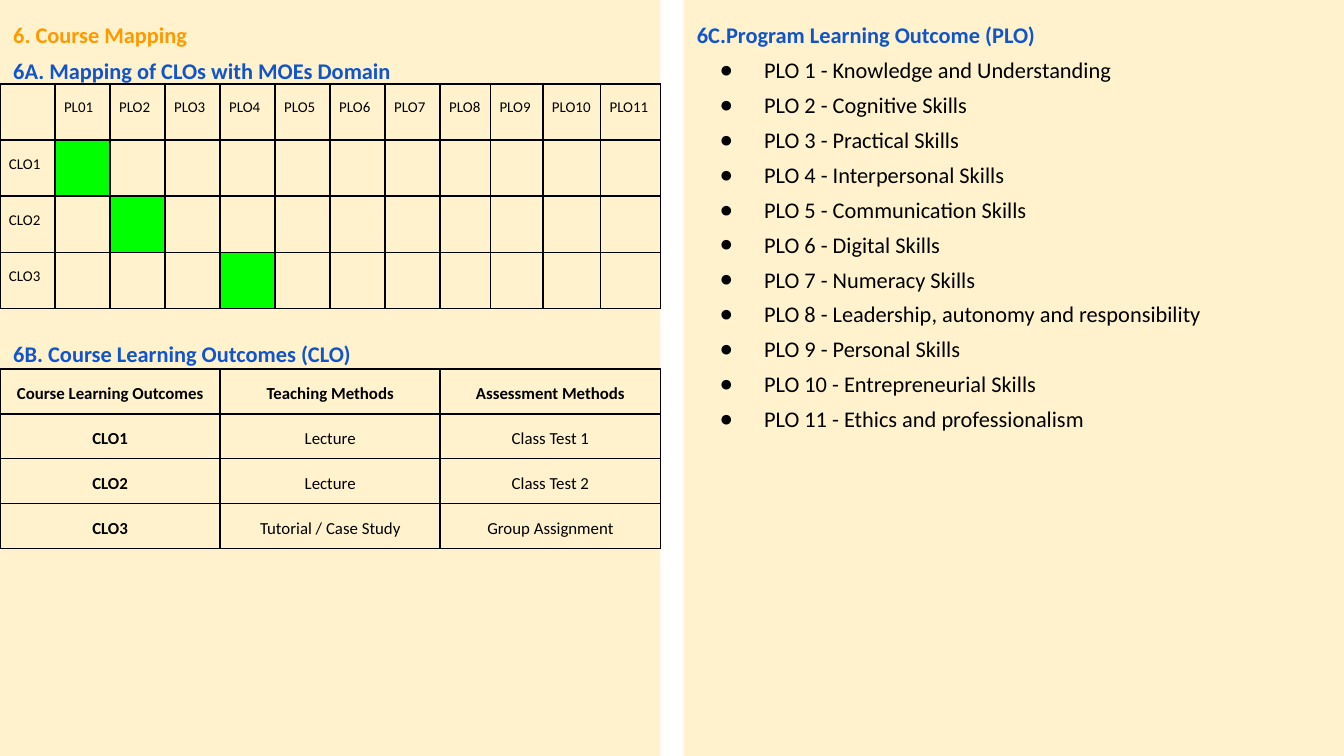
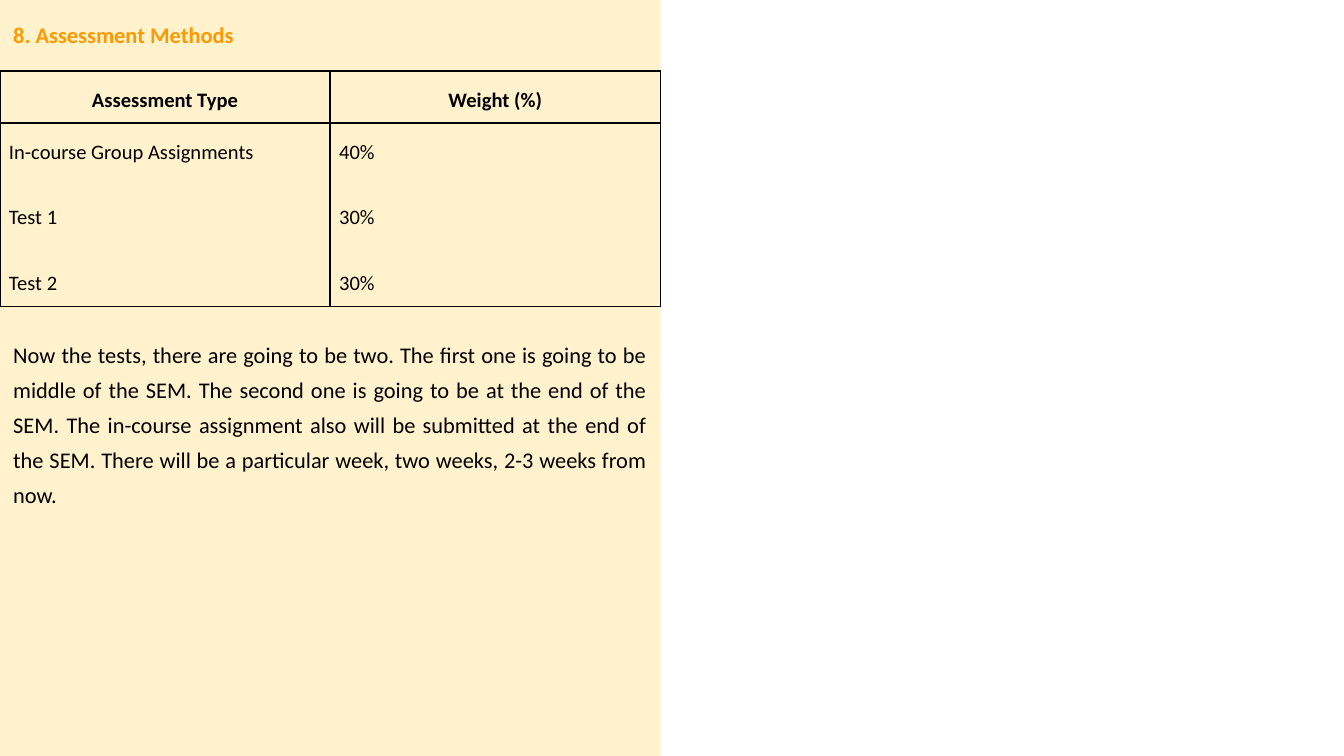
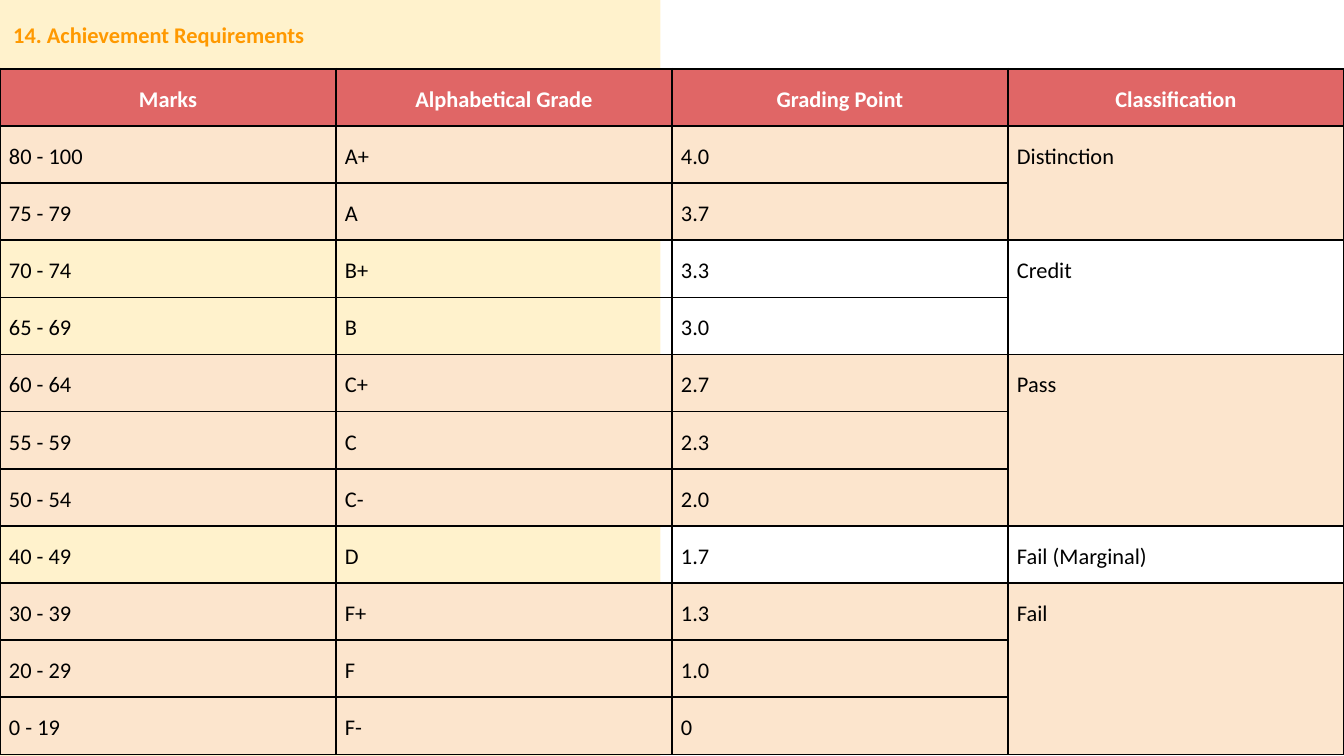
import dataclasses

import lxml.etree
import pptx
import pptx.dml.color
import pptx.enum.text
import pptx.oxml.ns
import pptx.util

Cm = pptx.util.Cm
Pt = pptx.util.Pt
ALIGN = pptx.enum.text.PP_ALIGN
qn = pptx.oxml.ns.qn


@dataclasses.dataclass(frozen=True)
class Theme:
    font: str = "Calibri"
    panel: str = "FFF2CC"
    section: str = "FF9900"
    heading: str = "1155CC"
    ink: str = "000000"
    mapped: str = "00FF00"
    header: str = "E06666"
    header_ink: str = "FFFFFF"
    band: str = "FCE5CD"
    text_size: float = 12
    weight_size: float = 11
    outcome_size: float = 9
    mapping_size: float = 8
    line_spacing: float = 1.3
    border: float = 1


SLIDE_W, SLIDE_H = 25.4, 14.29
PANEL_W = 12.48
LINE_PT = 19.04
LINE = LINE_PT / 72 * 2.54
TWO_CONTENT, TITLE_CONTENT, TITLE_ONLY = 3, 1, 5


def set_all(obj, values):
    for name, value in values.items():
        setattr(obj, name, value)


class Deck:
    def __init__(self, theme):
        self.theme = theme
        self.prs = pptx.Presentation()
        set_all(self.prs, {"slide_width": Cm(SLIDE_W), "slide_height": Cm(SLIDE_H)})
        self.s = None

    def add_slide(self, layout, title):
        self.s = self.prs.slides.add_slide(self.prs.slide_layouts[layout])
        tf = self.frame(self.s.shapes.title, 0, 0, self.theme.panel)
        self.add_text(tf.paragraphs[0], title, color=self.theme.section, bold=True,
                      align=ALIGN.JUSTIFY)

    def frame(self, sp, left, top, fill=None):
        set_all(sp, {"left": Cm(left), "top": Cm(top),
                     "width": Cm(PANEL_W), "height": Cm(SLIDE_H - top)})
        if fill:
            self.paint(sp.fill, fill)
        tf = sp.text_frame
        set_all(tf, {"word_wrap": True,
                     "auto_size": pptx.enum.text.MSO_AUTO_SIZE.NONE,
                     "vertical_anchor": pptx.enum.text.MSO_ANCHOR.TOP})
        set_all(tf, dict.fromkeys(
            ("margin_left", "margin_right", "margin_top", "margin_bottom"), Cm(0.25)))
        return tf

    def paint(self, fill, color):
        fill.solid()
        fill.fore_color.rgb = pptx.dml.color.RGBColor.from_string(color)

    def add_text(self, p, text, size=None, color=None, bold=False, align=ALIGN.LEFT, before=0):
        set_all(p, {"alignment": align, "line_spacing": self.theme.line_spacing,
                    "space_before": Pt(before), "space_after": Pt(0)})
        size = Pt(size or self.theme.text_size)
        if not text:
            p._p.get_or_add_endParaRPr().set("sz", str(int(size.pt * 100)))
            return
        r = p.add_run()
        r.text = text
        set_all(r.font, {"name": self.theme.font, "size": size, "bold": bold})
        r.font.color.rgb = pptx.dml.color.RGBColor.from_string(color or self.theme.ink)

    def bullet(self, p, char):
        pPr = p._p.get_or_add_pPr()
        indent = {"marL": Cm(1.27), "indent": Cm(-0.84)} if char else {"marL": 0, "indent": 0}
        for name, value in indent.items():
            pPr.set(name, str(int(value)))
        if char:
            clr = lxml.etree.SubElement(pPr, qn("a:buClr"))
            lxml.etree.SubElement(clr, qn("a:srgbClr")).set("val", self.theme.ink)
            lxml.etree.SubElement(pPr, qn("a:buChar")).set("char", char)
        else:
            lxml.etree.SubElement(pPr, qn("a:buNone"))

    def body(self, idx, left, top, items, fill=None):
        tf = self.frame(self.s.placeholders[idx], left, top, fill)
        for i, (text, char, style) in enumerate(items):
            p = tf.add_paragraph() if i else tf.paragraphs[0]
            self.add_text(p, text, align=ALIGN.JUSTIFY, **style)
            self.bullet(p, char)

    def table(self, top, widths, heights, rows, style, fills=None):
        gf = self.s.shapes.add_table(len(rows), len(widths), Cm(0), Cm(top),
                                     Cm(sum(widths)), Cm(sum(heights)))
        tbl = gf.table
        set_all(tbl, {"first_row": False, "horz_banding": False})
        for col, width in zip(tbl.columns, widths):
            col.width = Cm(width)
        for row, height in zip(tbl.rows, heights):
            row.height = Cm(height)
        for i, row in enumerate(rows):
            for j, text in enumerate(row):
                self.cell(tbl.cell(i, j), text, style(i, j), (fills or {}).get((i, j)))
        return tbl

    def cell(self, cell, text, style, fill):
        set_all(cell, dict.fromkeys(
            ("margin_left", "margin_right", "margin_top", "margin_bottom"), Cm(0.17)))
        tcPr = cell._tc.get_or_add_tcPr()
        for side in ("a:lnL", "a:lnR", "a:lnT", "a:lnB"):
            ln = lxml.etree.SubElement(tcPr, qn(side))
            ln.set("w", str(int(Pt(self.theme.border))))
            solid = lxml.etree.SubElement(ln, qn("a:solidFill"))
            lxml.etree.SubElement(solid, qn("a:srgbClr")).set("val", self.theme.ink)
        if fill:
            self.paint(cell.fill, fill)
        else:
            cell.fill.background()
        tf = cell.text_frame
        for i, line in enumerate(text.split("\n")):
            p = tf.add_paragraph() if i else tf.paragraphs[0]
            gap = style["size"] * LINE_PT / self.theme.text_size if i else 0
            self.add_text(p, line, before=gap, **style)


def course_mapping(deck):
    t = deck.theme
    heading = {"color": t.heading, "bold": True}
    skills = ["Knowledge and Understanding", "Cognitive Skills", "Practical Skills",
              "Interpersonal Skills", "Communication Skills", "Digital Skills",
              "Numeracy Skills", "Leadership, autonomy and responsibility",
              "Personal Skills", "Entrepreneurial Skills", "Ethics and professionalism"]
    deck.add_slide(TWO_CONTENT, "6. Course Mapping")
    deck.body(1, 0, LINE, [
        ("6A. Mapping of CLOs with MOEs Domain", None, heading),
        ("6B. Course Learning Outcomes (CLO)", None, {**heading, "before": 7 * LINE_PT})])
    deck.body(2, SLIDE_W - PANEL_W, 0,
              [("6C.Program Learning Outcome (PLO)", None, heading)]
              + [(f"PLO {n} - {skill}", "●", {}) for n, skill in enumerate(skills, 1)], t.panel)

    mapping = [["", "PL01"] + [f"PLO{n}" for n in range(2, 12)]]
    mapping += [[f"CLO{n}"] + [""] * 11 for n in range(1, 4)]
    deck.table(1.59, [1.04] * 8 + [0.95, 0.99, 1.09, 1.13], [1.06] * 4, mapping,
               lambda i, j: {"size": t.mapping_size},
               dict.fromkeys([(1, 1), (2, 2), (3, 4)], t.mapped))

    outcomes = [["Course Learning Outcomes", "Teaching Methods", "Assessment Methods"],
                ["CLO1", "Lecture", "Class Test 1"],
                ["CLO2", "Lecture", "Class Test 2"],
                ["CLO3", "Tutorial / Case Study", "Group Assignment"]]
    deck.table(6.97, [PANEL_W / 3] * 3, [0.85] * 4, outcomes,
               lambda i, j: {"size": t.outcome_size, "bold": i == 0 or j == 0,
                             "align": ALIGN.CENTER})


def assessment_methods(deck):
    t = deck.theme
    deck.add_slide(TITLE_CONTENT, "8. Assessment Methods")
    deck.body(1, 0, 9 * LINE, [(
        "Now the tests, there are going to be two. The first one is going to be middle "
        "of the SEM. The second one is going to be at the end of the SEM. The in-course "
        "assignment also will be submitted at the end of the SEM. There will be a "
        "particular week, two weeks, 2-3 weeks from now.", None, {})])
    weights = [["Assessment Type", "Weight (%)"],
               ["In-course Group Assignments\nTest 1\nTest 2", "40%\n30%\n30%"]]
    deck.table(1.34, [PANEL_W / 2] * 2, [0.98, 3.47], weights,
               lambda i, j: {"size": t.weight_size, "bold": i == 0,
                             "align": ALIGN.LEFT if i else ALIGN.CENTER})


def achievement_requirements(deck):
    t = deck.theme
    groups = [("Distinction", [("80 - 100", "A+", "4.0"), ("75 - 79", "A", "3.7")]),
              ("Credit", [("70 - 74", "B+", "3.3"), ("65 - 69", "B", "3.0")]),
              ("Pass", [("60 - 64", "C+", "2.7"), ("55 - 59", "C", "2.3"),
                        ("50 - 54", "C-", "2.0")]),
              ("Fail (Marginal)", [("40 - 49", "D", "1.7")]),
              ("Fail", [("30 - 39", "F+", "1.3"), ("20 - 29", "F", "1.0"),
                        ("0 - 19", "F-", "0")])]
    rows = [["Marks", "Alphabetical Grade", "Grading Point", "Classification"]]
    fills = {(0, j): t.header for j in range(4)}
    spans = []
    for g, (name, grades) in enumerate(groups):
        first = len(rows)
        for k, grade in enumerate(grades):
            if g % 2 == 0:
                fills.update({(len(rows), j): t.band for j in range(4)})
            rows.append([*grade, "" if k else name])
        if len(grades) > 1:
            spans.append((first, len(rows) - 1))

    deck.add_slide(TITLE_ONLY, "14. Achievement Requirements")
    tbl = deck.table(1.3, [SLIDE_W / 4] * 4, [1.08] * len(rows), rows,
                     lambda i, j: {"size": t.text_size, "bold": i == 0,
                                   "color": t.ink if i else t.header_ink,
                                   "align": ALIGN.LEFT if i else ALIGN.CENTER}, fills)
    for first, last in spans:
        tbl.cell(first, 3).merge(tbl.cell(last, 3))


def main():
    deck = Deck(Theme())
    course_mapping(deck)
    assessment_methods(deck)
    achievement_requirements(deck)
    deck.prs.save("out.pptx")


if __name__ == "__main__":
    main()
